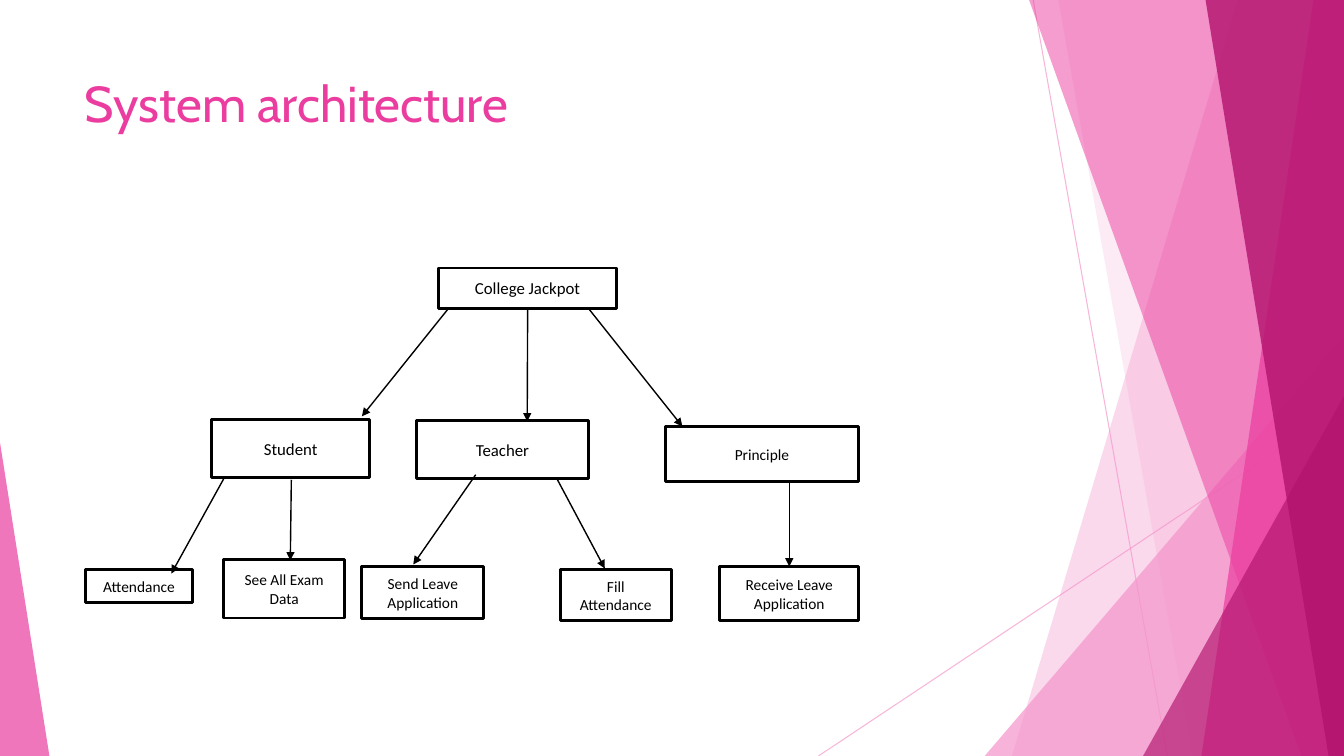
from dataclasses import dataclass

from lxml.etree import SubElement
from pptx import Presentation
from pptx.dml.color import RGBColor
from pptx.enum.shapes import MSO_CONNECTOR as Connector, MSO_SHAPE as Shape
from pptx.enum.text import MSO_ANCHOR as Anchor, PP_ALIGN as Align
from pptx.oxml.ns import qn
from pptx.util import Pt


@dataclass(frozen=True)
class Theme:
    light: str = "F496CB"
    pink: str = "EB3D9F"
    dark: str = "B2136D"
    ink: str = "000000"
    paper: str = "FFFFFF"
    title_font: str = "Cabin"
    body_font: str = "Calibri"
    title_size: float = 36
    role_size: float = 12
    task_size: float = 11
    border: float = 2
    arrow: float = 1
    hairline: float = 0.75


THEME = Theme()
WIDTH, HEIGHT = 960, 540
TOP, BOTTOM = 0, 2

RAYS = [
    ((738, 0), (833.8, HEIGHT)),
    ((WIDTH, 290.2), (584.6, HEIGHT)),
]
FACETS = [
    ("band", (884.2, 722.9), THEME.light, 36),
    ("band", (756, 851.8), THEME.light, 20),
    ("wedge", (703.4, 239.8, 256.6, 300.2, 1), THEME.light, 72),
    ("band", (735.1, 929.5), THEME.pink, 50),
    ("band", (938.2, 858.2), THEME.pink, 70),
    ("band", (861.1, 949), THEME.dark, 80),
    ("wedge", (816.5, 283, 143.5, 257, 1), THEME.dark, 66),
    ("wedge", (0, 316.1, 35.3, 223.9, 0), THEME.pink, 70),
]
BOXES = [
    ("College Jackpot", (313.2, 191.5, 127.4, 28.8), THEME.role_size),
    ("Student", (151.2, 299.5, 113, 41.8), THEME.role_size),
    ("Teacher", (297.4, 300.2, 123.1, 41.8), THEME.role_size),
    ("Principle", (475.2, 304.6, 138.2, 39.6), THEME.task_size),
    ("Receive Leave Application", (514.1, 404.6, 99.4, 38.9), THEME.task_size),
    ("Fill Attendance", (400.3, 406.8, 79.2, 36.7), THEME.task_size),
    ("See All Exam Data", (159.8, 399.6, 86.4, 41.8), THEME.task_size),
    ("Send Leave Application", (258.5, 404.6, 87.1, 37.4), THEME.task_size),
    ("Attendance", (61.2, 406.8, 76.3, 23.8), THEME.task_size),
]
ARROWS = [
    ((563.8, 344.2), "Receive Leave Application"),
    ("College Jackpot", (376.6, 301)),
    ((320.4, 220.3), (258.5, 297.4)),
    ((419.8, 219.6), (487.4, 304.6)),
    ((398.2, 342.7), (432, 406.1)),
    ((339.8, 339.1), (295.2, 403.2)),
    ((159.8, 342), (122.4, 409.7)),
    ((208.1, 342.7), (207.4, 400.3)),
]


def color(code):
    return RGBColor.from_string(code)


def points(values):
    return [Pt(value) for value in values]


def set_alpha(fill, percent):
    for node in fill.iter(qn("a:srgbClr")):
        SubElement(node, qn("a:alpha"), val=str(percent * 1000))


def style_text(frame, font, size, code):
    for para in frame.paragraphs:
        for span in para.runs:
            span.font.name = font
            span.font.size = Pt(size)
            span.font.color.rgb = color(code)


def add_line(page, start, end, code, width):
    line = page.shapes.add_connector(Connector.STRAIGHT, *points(start + end))
    line.line.color.rgb = color(code)
    line.line.width = Pt(width)
    SubElement(line._element.spPr, qn("a:effectLst"))
    return line


def add_ray(page, start, end):
    ray = add_line(page, start, end, THEME.light, THEME.hairline)
    set_alpha(ray._element.spPr, 70)


def add_band(page, top_x, bottom_x):
    corners = [(WIDTH, 0), (WIDTH, HEIGHT), (bottom_x, HEIGHT)]
    builder = page.shapes.build_freeform(Pt(top_x), 0)
    builder.add_line_segments([points(corner) for corner in corners], close=True)
    return builder.convert_to_shape()


def add_wedge(page, left, top, width, height, apex):
    wedge = page.shapes.add_shape(Shape.ISOSCELES_TRIANGLE, *points((left, top, width, height)))
    wedge.adjustments[0] = apex
    return wedge


def add_facet(page, kind, geometry, code, opacity):
    facet = add_band(page, *geometry) if kind == "band" else add_wedge(page, *geometry)
    facet.shadow.inherit = False
    facet.fill.solid()
    facet.fill.fore_color.rgb = color(code)
    facet.line.fill.background()
    set_alpha(facet._element.spPr, opacity)


def add_title(page, text):
    title = page.shapes.title
    title.left, title.top, title.width, title.height = points((53.3, 48.2, 676.8, 103.7))
    frame = title.text_frame
    frame.text = text
    frame.vertical_anchor = Anchor.TOP
    frame.paragraphs[0].alignment = Align.LEFT
    style_text(frame, THEME.title_font, THEME.title_size, THEME.pink)


def add_box(page, text, bounds, size):
    box = page.shapes.add_shape(Shape.RECTANGLE, *points(bounds))
    box.shadow.inherit = False
    box.fill.solid()
    box.fill.fore_color.rgb = color(THEME.paper)
    box.line.color.rgb = color(THEME.ink)
    box.line.width = Pt(THEME.border)
    frame = box.text_frame
    frame.text = text
    frame.word_wrap = True
    frame.vertical_anchor = Anchor.MIDDLE
    frame.paragraphs[0].alignment = Align.CENTER
    style_text(frame, THEME.body_font, size, THEME.ink)
    return box


def add_arrow(page, boxes, start, end):
    ends = [(0, 0) if place in boxes else place for place in (start, end)]
    arrow = add_line(page, *ends, THEME.ink, THEME.arrow)
    if start in boxes:
        arrow.begin_connect(boxes[start], BOTTOM)
    if end in boxes:
        arrow.end_connect(boxes[end], TOP)
    SubElement(arrow.line._get_or_add_ln(), qn("a:tailEnd"), type="triangle")


def main():
    deck = Presentation()
    deck.slide_width, deck.slide_height = Pt(WIDTH), Pt(HEIGHT)
    page = deck.slides.add_slide(deck.slide_layouts[5])
    for ray in RAYS:
        add_ray(page, *ray)
    for facet in FACETS:
        add_facet(page, *facet)
    add_title(page, "System architecture")
    boxes = {text: add_box(page, text, bounds, size) for text, bounds, size in BOXES}
    for arrow in ARROWS:
        add_arrow(page, boxes, *arrow)
    deck.save("out.pptx")


if __name__ == "__main__":
    main()
